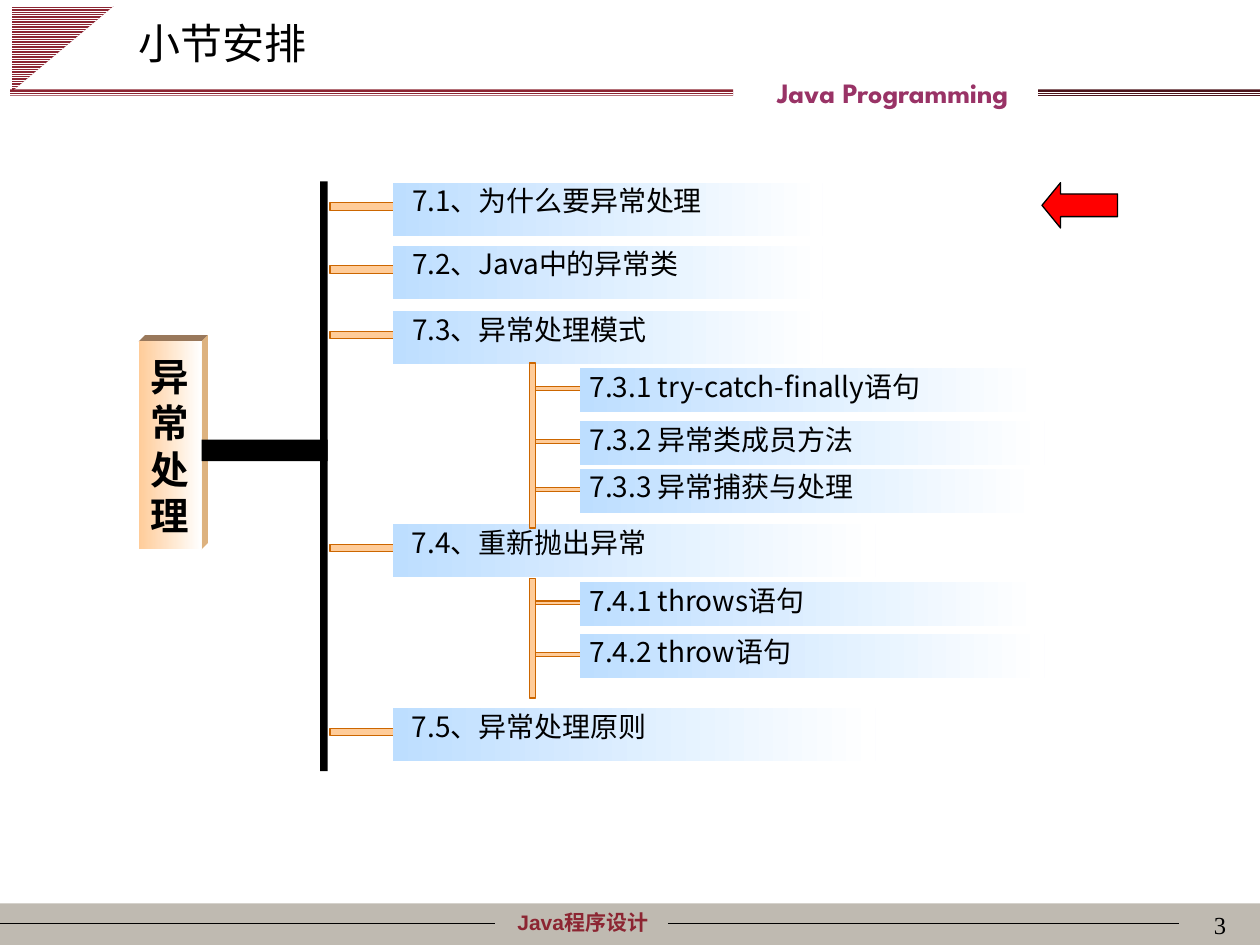
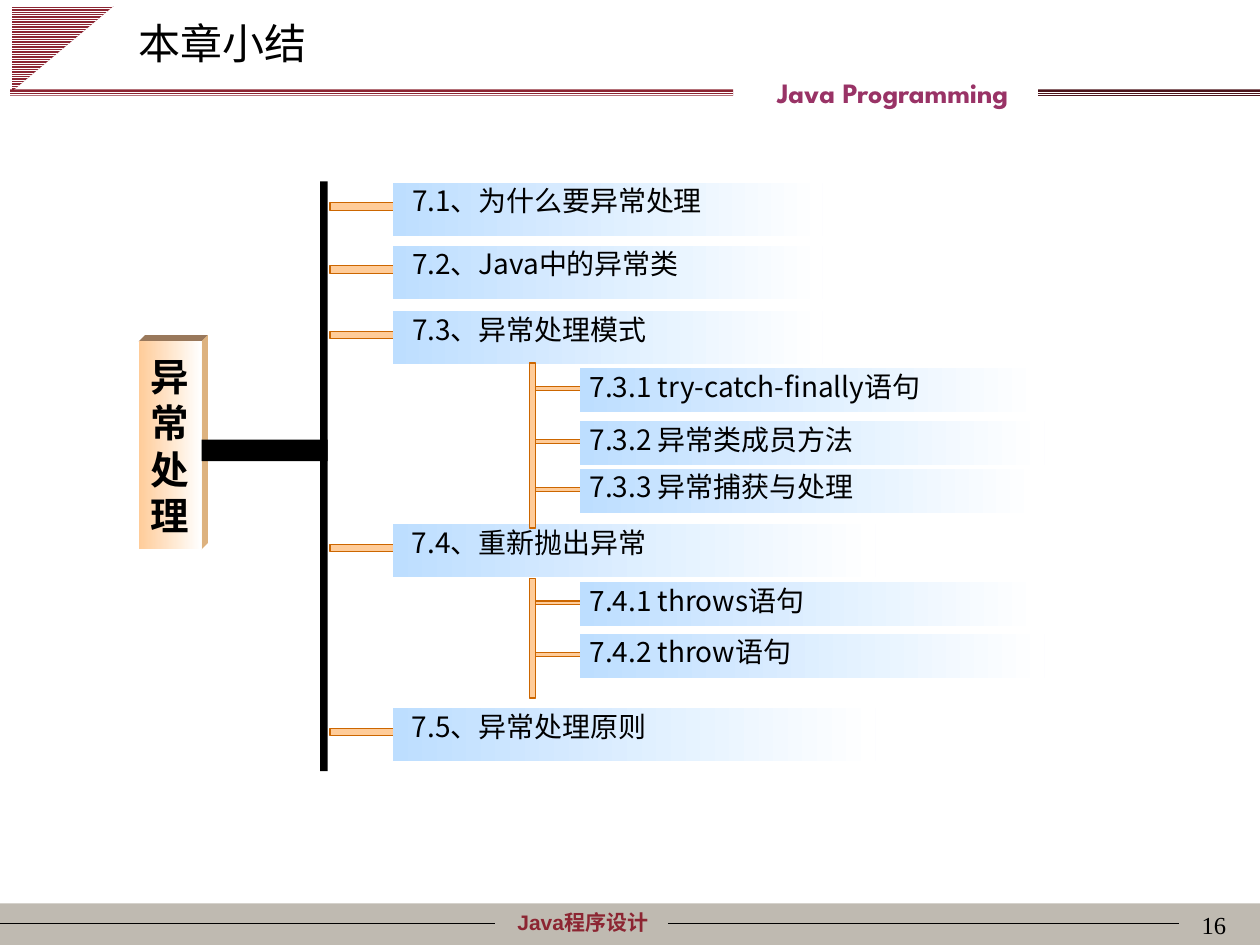
"""Build the chapter outline and chapter summary slides."""
from lxml.etree import SubElement
from pptx import Presentation
from pptx.dml.color import RGBColor
from pptx.enum.dml import MSO_PATTERN
from pptx.enum.shapes import MSO_CONNECTOR, MSO_SHAPE
from pptx.enum.text import MSO_ANCHOR, PP_ALIGN
from pptx.oxml.ns import qn
from pptx.util import Inches, Pt

SLIDES = [("小节安排", 3, True), ("本章小结", 16, False)]
TOPIC = "异常处理"
HEADS = [
    ("7.1、为什么要异常处理", 1.45, 3.41),
    ("7.2、Java中的异常类", 1.95, 3.41),
    ("7.3、异常处理模式", 2.47, 3.41),
    ("7.4、重新抛出异常", 4.16, 3.83),
    ("7.5、异常处理原则", 5.62, 3.83),
]
PARTS = [
    ("7.3.1 try-catch-finally语句", 2.92, 3.65),
    ("7.3.2 异常类成员方法", 3.34, 3.69),
    ("7.3.3 异常捕获与处理", 3.72, 3.64),
    ("7.4.1 throws语句", 4.62, 3.65),
    ("7.4.2 throw语句", 5.03, 3.69),
]
STEMS = [(2.88, 1.31), (4.59, 0.95)]
LEVELS = [
    {"rows": HEADS, "left": 3.12, "high": 0.42, "pad": 0.15, "link": (2.62, 0.16, 0.06)},
    {"rows": PARTS, "left": 4.6, "high": 0.35, "pad": 0.08, "link": (4.22, 0.15, 0.03)},
]
SANS = "Noto Sans CJK SC"
BLACK, WHITE, WINE, DARK = "000000", "FFFFFF", "8C2532", "4C141B"
PEACH, RUST, SKY, GRAY = "FFCC99", "CC6600", "BDDEFF", "BFBAB1"


def color(code):
    return RGBColor.from_string(code)


def paint(shape, fill, line=None):
    shape.shadow.inherit = False
    shape.fill.solid()
    shape.fill.fore_color.rgb = color(fill)
    if line:
        shape.line.color.rgb = color(line)
        shape.line.width = Pt(0.75)
    else:
        shape.line.fill.background()
    return shape


def block(slide, box, fill, line=None, kind=MSO_SHAPE.RECTANGLE):
    return paint(slide.shapes.add_shape(kind, *map(Inches, box)), fill, line)


def fade(slide, box, tint):
    shape = block(slide, box, tint)
    shape.fill.gradient()
    shape.fill.gradient_angle = 0
    for stop, code in zip(shape.fill.gradient_stops, (tint, WHITE)):
        stop.color.rgb = color(code)
    return shape


def stripe(slide, box, back, kind=MSO_SHAPE.RECTANGLE):
    shape = block(slide, box, back, kind=kind)
    shape.fill.patterned()
    shape.fill.pattern = MSO_PATTERN.LIGHT_HORIZONTAL
    shape.fill.fore_color.rgb = color(WHITE)
    shape.fill.back_color.rgb = color(back)
    return shape


def write(shape, text, size, face=SANS, ink=BLACK, bold=False, align=PP_ALIGN.LEFT,
          pads=(0.1, 0.01), anchor=MSO_ANCHOR.TOP):
    frame = shape.text_frame
    frame.word_wrap = True
    frame.vertical_anchor = anchor
    frame.margin_left = frame.margin_right = Inches(pads[0])
    frame.margin_top = frame.margin_bottom = Inches(pads[1])
    para = frame.paragraphs[0]
    para.alignment = align
    run = para.add_run()
    run.text = text
    font = para.font
    font.name, font.size, font.bold = face, Pt(size), bold
    font.color.rgb = color(ink)
    SubElement(run.font._element, qn("a:ea")).set("typeface", SANS)
    return para


def label(slide, box, text, size, **style):
    return write(slide.shapes.add_textbox(*map(Inches, box)), text, size, **style)


def rule(slide, start, end, y):
    line = slide.shapes.add_connector(
        MSO_CONNECTOR.STRAIGHT, Inches(start), Inches(y), Inches(end), Inches(y))
    line.line.color.rgb = color(BLACK)
    line.line.width = Pt(0.75)
    SubElement(line._element.spPr, qn("a:effectLst"))


def frame(slide, title, page):
    block(slide, (0, 7.17, 10, 0.33), GRAY)
    mid = {"align": PP_ALIGN.CENTER, "anchor": MSO_ANCHOR.MIDDLE, "bold": True}
    label(slide, (3.62, 7.17, 2.01, 0.3), "Java程序设计", 12, face="Arial", ink=WINE, **mid)
    for start, end in ((0, 3.93), (5.3, 9.36)):
        rule(slide, start, end, 7.33)
    stripe(slide, (0.16, -0.02, 0.68, 0.81), WINE, MSO_SHAPE.RIGHT_TRIANGLE).rotation = 90
    stripe(slide, (8.24, 0.71, 1.76, 0.06), DARK)
    stripe(slide, (0.08, 0.71, 5.74, 0.05), WINE)
    label(slide, (5.08, 0.55, 4.01, 0.37), "Java Programming", 16,
          face="League Spartan", ink="993366", **mid)
    label(slide, (7.75, 7.17, 2.08, 0.5), str(page), 14, face="Times New Roman",
          align=PP_ALIGN.RIGHT, pads=(0.1, 0.05))
    label(slide, (1, 0.13, 2.85, 0.5), title, 24)


def side(slide, points, fill):
    spots = [(Inches(x), Inches(y)) for x, y in points]
    build = slide.shapes.build_freeform(*spots[0])
    build.add_line_segments(spots[1:], close=True)
    paint(build.convert_to_shape(), fill)


def root(slide):
    x, y, wide, high, deep = 1.1, 2.71, 0.5, 1.65, 0.05
    end, foot = x + wide, y + high
    side(slide, [(x, y), (x + deep, y - deep), (end + deep, y - deep), (end, y)], "99785B")
    side(slide, [(end, y), (end + deep, y - deep), (end + deep, foot - deep), (end, foot)],
         "DDB27F")
    para = write(fade(slide, (x, y, wide, high), PEACH), TOPIC, 22, bold=True,
                 align=PP_ALIGN.CENTER, pads=(0.05, 0), anchor=MSO_ANCHOR.MIDDLE)
    para.line_spacing = Pt(26.5)
    block(slide, (end, 3.49, 1, 0.17), BLACK)
    block(slide, (2.54, 1.44, 0.06, 4.68), BLACK)


def tree(slide):
    root(slide)
    for level in LEVELS:
        left, drop, thick = level["link"]
        for text, top, wide in level["rows"]:
            block(slide, (left, top + drop, 0.51, thick), PEACH, RUST)
            bar = fade(slide, (level["left"], top, wide, level["high"]), SKY)
            write(bar, text, 16, pads=(level["pad"], 0.01))
    for top, high in STEMS:
        block(slide, (4.2, top, 0.05, high), PEACH, RUST)


def main():
    deck = Presentation()
    deck.slide_width, deck.slide_height = Inches(10), Inches(7.5)
    for title, page, mark in SLIDES:
        slide = deck.slides.add_slide(deck.slide_layouts[6])
        frame(slide, title, page)
        tree(slide)
        if mark:
            arrow = block(slide, (8.27, 1.45, 0.6, 0.36), "FF0000", BLACK, MSO_SHAPE.LEFT_ARROW)
            arrow.adjustments[1] = 0.41
    deck.save("out.pptx")


if __name__ == "__main__":
    main()
